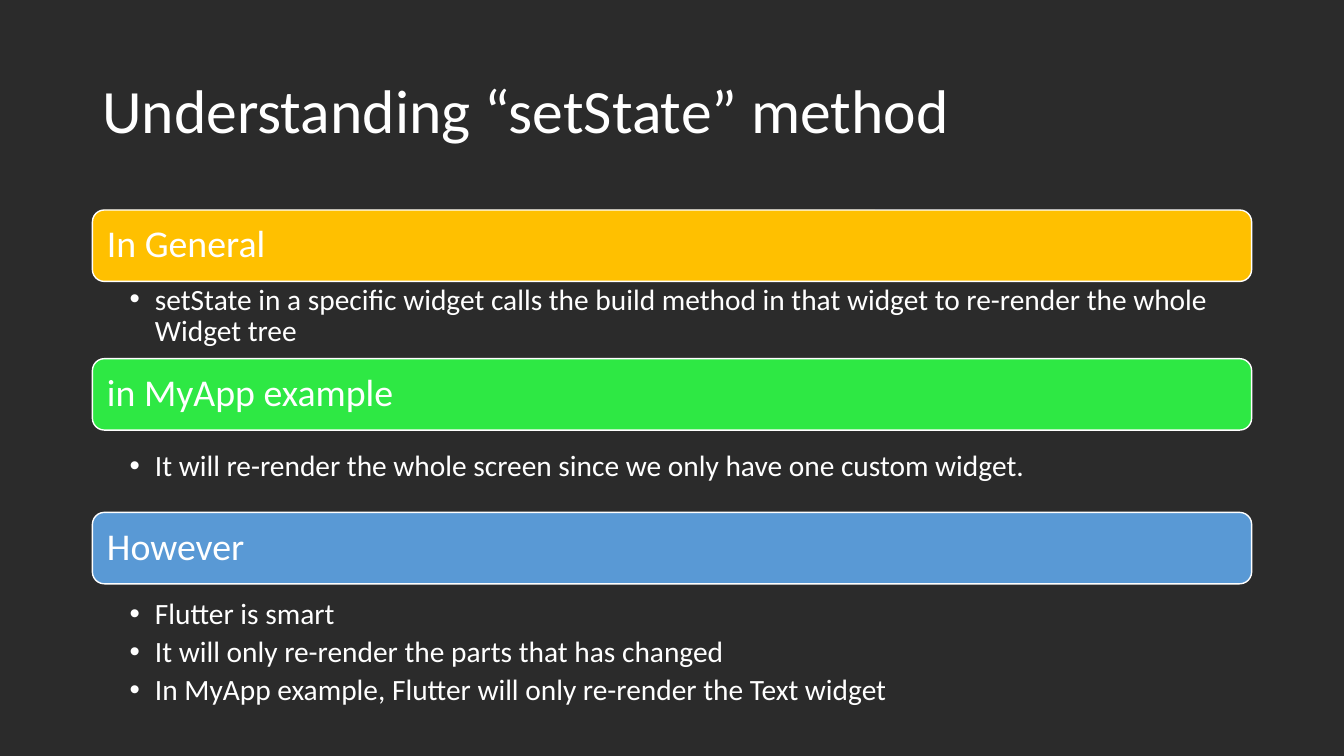
from pptx import Presentation
from pptx.dml.color import RGBColor
from pptx.enum.shapes import MSO_SHAPE as Shape
from pptx.enum.text import MSO_ANCHOR as Anchor, PP_ALIGN as Align
from pptx.oxml.ns import qn
from pptx.util import Inches, Pt
from lxml.etree import SubElement

COLS, ROWS = 160, 90
LEFT, WIDTH, BAR_HEIGHT = 11, 138, 8.5

SECTIONS = [
    ("In General", "FFC000", 25, 33.4, 5.9, [
        "setState in a specific widget calls the build method in that widget"
        " to re-render the whole Widget tree"]),
    ("in MyApp example", "2EE844", 42.7, 53.2, 9.5, [
        "It will re-render the whole screen since we only have one custom widget."]),
    ("However", "5999D5", 61, 70.9, 14.3, [
        "Flutter is smart",
        "It will only re-render the parts that has changed",
        "In MyApp example, Flutter will only re-render the Text widget"]),
]


def color(value):
    return RGBColor.from_string(value)


class Deck:
    """Draws styled elements on a slide grid of 160 columns by 90 rows."""

    font, ink, paper = "Calibri", "FFFFFF", "2B2B2B"

    def __init__(self):
        self.prs = Presentation()
        self.prs.slide_width, self.prs.slide_height = Inches(13.33), Inches(7.5)
        self.slide = self.prs.slides.add_slide(self.prs.slide_layouts[6])
        fill = self.slide.background.fill
        fill.solid()
        fill.fore_color.rgb = color(self.paper)

    def box(self, top, height):
        x, y = self.prs.slide_width / COLS, self.prs.slide_height / ROWS
        return int(LEFT * x), int(top * y), int(WIDTH * x), int(height * y)

    def set_text(self, sp, lines, size, margins, anchor):
        tf = sp.text_frame
        tf.word_wrap = True
        tf.vertical_anchor = anchor
        tf.margin_left, tf.margin_top, tf.margin_right, tf.margin_bottom = map(Inches, margins)
        tf.text = "\n".join(lines)
        for p in tf.paragraphs:
            p.alignment = Align.LEFT
            p.line_spacing = 0.9
            for r in p.runs:
                r.font.name, r.font.size = self.font, Pt(size)
                r.font.color.rgb = color(self.ink)
        return tf

    def title(self, text, top, height):
        sp = self.slide.shapes.add_textbox(*self.box(top, height))
        self.set_text(sp, [text], 44, (0.1, 0.05, 0.1, 0.05), Anchor.MIDDLE)

    def bar(self, text, fill, top):
        sp = self.slide.shapes.add_shape(Shape.ROUNDED_RECTANGLE, *self.box(top, BAR_HEIGHT))
        sp.shadow.inherit = False
        sp.fill.solid()
        sp.fill.fore_color.rgb = color(fill)
        sp.line.color.rgb = color(self.ink)
        sp.line.width = Pt(1)
        self.set_text(sp, [text], 27, (0.11,) * 4, Anchor.MIDDLE)

    def bullets(self, lines, top, height):
        sp = self.slide.shapes.add_textbox(*self.box(top, height))
        tf = self.set_text(sp, lines, 21, (0.37, 0.04, 0.21, 0.04), Anchor.TOP)
        for i, p in enumerate(tf.paragraphs):
            p.level = 1
            if i:
                p.space_before = Pt(4.2)
            pPr = p._p.get_or_add_pPr()
            pPr.set("marL", str(Inches(0.25)))
            pPr.set("indent", str(-Inches(0.25)))
            SubElement(SubElement(pPr, qn("a:buClr")), qn("a:srgbClr"), val=self.ink)
            SubElement(pPr, qn("a:buFont"), typeface="Arial")
            SubElement(pPr, qn("a:buChar"), char="•")


def main():
    deck = Deck()
    deck.title("Understanding “setState” method", 4.8, 17.4)
    for heading, fill, bar_top, list_top, list_height, lines in SECTIONS:
        deck.bar(heading, fill, bar_top)
        deck.bullets(lines, list_top, list_height)
    deck.prs.save("out.pptx")


if __name__ == "__main__":
    main()
